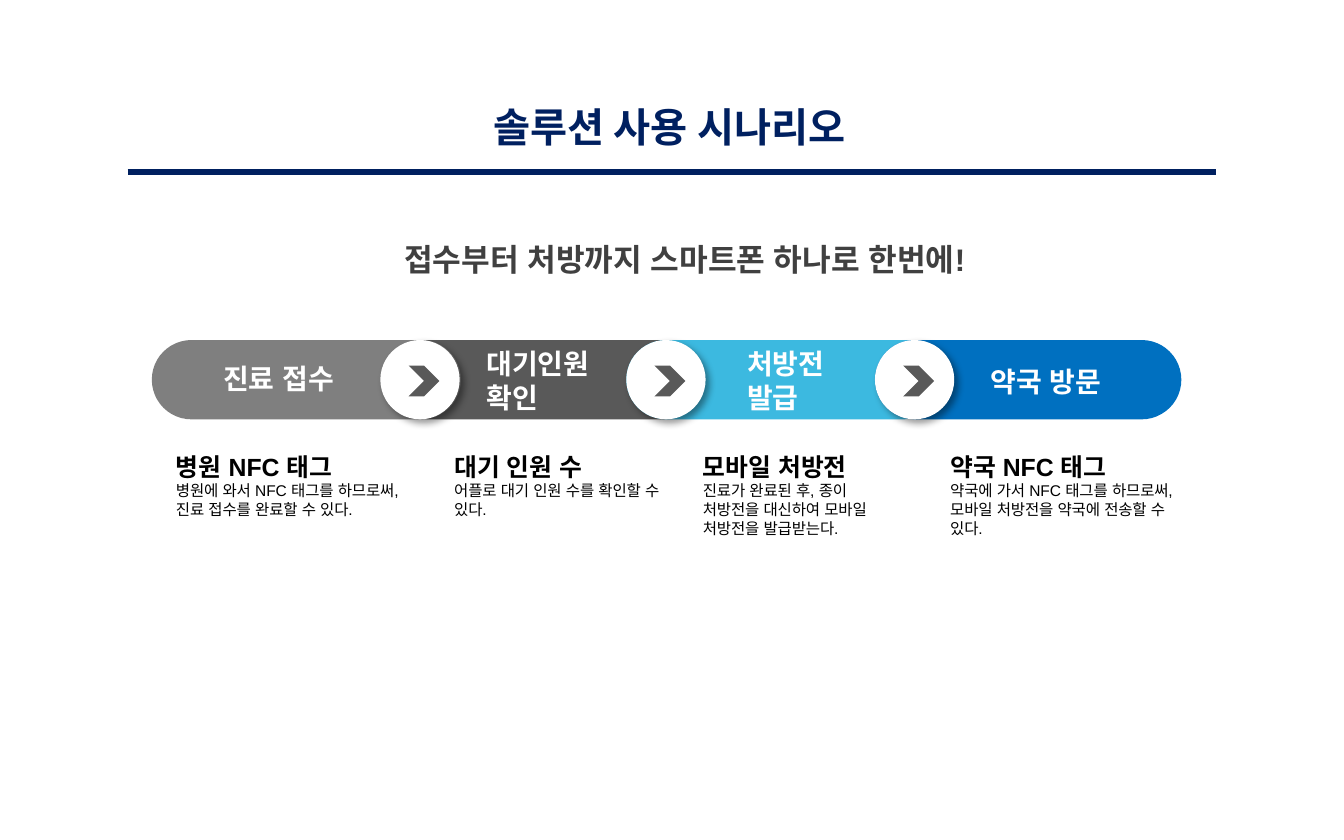
from lxml.etree import SubElement
from pptx import Presentation
from pptx.dml.color import RGBColor
from pptx.enum.shapes import MSO_CONNECTOR as Connector, MSO_SHAPE as Shape
from pptx.enum.text import MSO_ANCHOR as Anchor, MSO_AUTO_SIZE as AutoSize, PP_ALIGN as Align
from pptx.oxml import parse_xml
from pptx.oxml.ns import nsdecls, qn
from pptx.util import Inches, Pt

NAVY, GREY, WHITE, BLACK = "002060", "595959", "FFFFFF", "000000"
BAR_TOP, BAR_HEIGHT = 2.53, 0.59
NOTE_TOP = 3.32
INSETS = (0.08, 0.04, 0.08, 0.04)

# left, width, colour
PILLS = [
    (1.13, 2.3, "7F7F7F"),
    (2.89, 2.36, GREY),
    (4.66, 2.36, "3CB9E0"),
    (6.51, 2.28, "0070C0"),
]
ARROW_LEFTS = [2.83, 4.66, 6.51]
# left, top, width, height, lines
LABELS = [
    (1.58, 2.65, 1.19, 0.34, ["진료 접수"]),
    (3.54, 2.54, 1.06, 0.59, ["대기인원", "확인"]),
    (5.48, 2.54, 0.92, 0.59, ["처방전", "발급"]),
    (7.29, 2.67, 1.21, 0.34, ["약국 방문"]),
]
# left, width, height, heading, body lines
NOTES = [
    (1.23, 1.97, 0.59, "병원 NFC 태그",
     ["병원에 와서 NFC 태그를 하므로써,", "진료 접수를 완료할 수 있다."]),
    (3.3, 1.7, 0.59, "대기 인원 수",
     ["어플로 대기 인원 수를 확인할 수 있다."]),
    (5.15, 1.64, 0.73, "모바일 처방전",
     ["진료가 완료된 후, 종이 처방전을 대신하여 모바일 처방전을 발급받는다."]),
    (6.99, 1.99, 0.73, "약국 NFC 태그",
     ["약국에 가서 NFC 태그를 하므로써,", "모바일 처방전을 약국에 전송할 수 있다."]),
]


def color(value):
    return RGBColor.from_string(value)


def inches(*values):
    return [Inches(value) for value in values]


def add_run(paragraph, text, size, hex_color, bold=True, face="Arial"):
    run = paragraph.add_run()
    run.text = text
    font = run.font
    font.size, font.bold, font.name = Pt(size), bold, face
    font.color.rgb = color(hex_color)
    SubElement(font._element, qn("a:ea"), typeface=face)


def set_frame(frame, insets, anchor=Anchor.TOP):
    frame.word_wrap = True
    frame.vertical_anchor = anchor
    (frame.margin_left, frame.margin_top,
     frame.margin_right, frame.margin_bottom) = inches(*insets)


def add_text(slide, box, lines):
    """Each line is (text, size, colour, bold) and becomes one paragraph."""
    frame = slide.shapes.add_textbox(*inches(*box)).text_frame
    set_frame(frame, INSETS)
    frame.auto_size = AutoSize.SHAPE_TO_FIT_TEXT
    for index, line in enumerate(lines):
        paragraph = frame.add_paragraph() if index else frame.paragraphs[0]
        add_run(paragraph, *line)


def add_filled(slide, kind, box, fill):
    shape = slide.shapes.add_shape(kind, *inches(*box))
    shape.shadow.inherit = False
    shape.fill.solid()
    shape.fill.fore_color.rgb = color(fill)
    shape.line.fill.background()
    return shape


def add_drop_shadow(shape):
    shape.shadow.inherit = False
    effects = shape._element.spPr.find(qn("a:effectLst"))
    effects.append(parse_xml(
        f'<a:outerShdw {nsdecls("a")} blurRad="{Pt(4)}" dist="{Pt(3)}" dir="2700000" '
        'algn="tl" rotWithShape="0"><a:srgbClr val="000000">'
        '<a:alpha val="40000"/></a:srgbClr></a:outerShdw>'))


def add_header(slide, left, top, width):
    title = slide.shapes.title
    title.left, title.top, title.width, title.height = inches(left + 2.62, top, 3.1, 0.46)
    set_frame(title.text_frame, (0.1, 0.05, 0.1, 0.05), Anchor.MIDDLE)
    paragraph = title.text_frame.paragraphs[0]
    paragraph.alignment = Align.LEFT
    add_run(paragraph, "솔루션 사용 시나리오", 21.6, NAVY, face="Noto Sans CJK KR")

    rule_y = top + 0.57
    rule = slide.shapes.add_connector(
        Connector.STRAIGHT, *inches(left, rule_y, left + width, rule_y))
    rule.line.color.rgb = color(NAVY)
    rule.line.width = Pt(3)
    SubElement(rule._element.spPr, qn("a:effectLst"))


def add_slogan(slide, box):
    frame = slide.shapes.add_textbox(*inches(*box)).text_frame
    set_frame(frame, (0.16, 0.1, 0.13, 0.07), Anchor.MIDDLE)
    paragraph = frame.paragraphs[0]
    paragraph.alignment = Align.CENTER
    properties = paragraph._p.get_or_add_pPr()
    properties.set("marL", str(Inches(0.35)))
    properties.set("indent", str(Inches(-0.35)))
    add_run(paragraph, "접수부터 처방까지 스마트폰 하나로 한번에!", 16.7, "404040")


def add_process_bar(slide, top, height):
    first, second, *others = PILLS
    # The second pill lies beneath its neighbours.
    for left, width, fill in (second, first, *others):
        pill = add_filled(slide, Shape.ROUNDED_RECTANGLE, (left, top, width, height), fill)
        pill.adjustments[0] = 0.5
    for left in ARROW_LEFTS:
        circle = add_filled(slide, Shape.OVAL, (left, top, height, height), WHITE)
        add_drop_shadow(circle)
        add_filled(slide, Shape.CHEVRON, (left + 0.21, top + 0.19, 0.23, 0.23), GREY)
    for *box, lines in LABELS:
        add_text(slide, box, [(line, 15, WHITE, True) for line in lines])


def add_notes_row(slide, top):
    for left, width, height, heading, body in NOTES:
        lines = [(heading, 13.3, BLACK, True)]
        lines += [(line, 8.3, BLACK, False) for line in body]
        add_text(slide, (left, top, width, height), lines)


def main():
    presentation = Presentation()
    presentation.slide_width, presentation.slide_height = inches(10, 6.25)
    slide = presentation.slides.add_slide(presentation.slide_layouts[5])
    add_header(slide, 0.95, 0.71, 8.1)
    add_slogan(slide, (1.75, 1.62, 6.66, 0.58))
    add_process_bar(slide, BAR_TOP, BAR_HEIGHT)
    add_notes_row(slide, NOTE_TOP)
    presentation.save("out.pptx")


if __name__ == "__main__":
    main()
